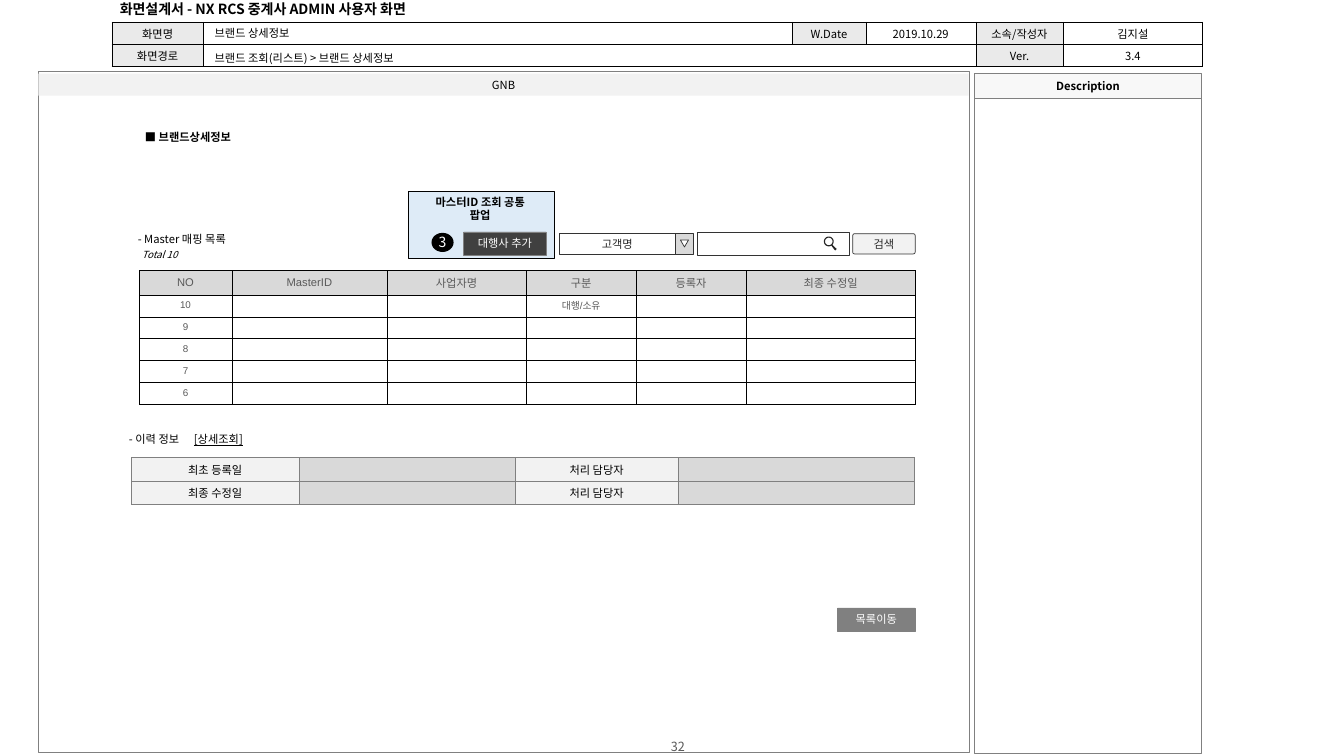
from math import cos, pi, sin

from lxml.etree import SubElement
from pptx import Presentation
from pptx.dml.color import RGBColor
from pptx.enum.shapes import MSO_SHAPE
from pptx.enum.text import MSO_ANCHOR, PP_ALIGN
from pptx.oxml.ns import qn
from pptx.util import Pt

theme = {
    "font": "Noto Sans CJK KR", "latin": "Arial",
    "black": "000000", "white": "FFFFFF", "ink": "262626", "edge": "333333",
    "dark": "404040", "soft": "595959", "gray": "808080", "mid": "D9D9D9",
    "head": "EAEAEA", "pale": "F2F2F2", "light": "F8F8F8", "blue": "DEEBF7",
    "tiny": 7, "base": 8, "page": 9, "big": 10,
}


def write(frame, text, align=PP_ALIGN.CENTER, size="base", color="black", name="font", **style):
    para = frame.paragraphs[0]
    para.alignment = align
    if not text:
        SubElement(para._p, qn("a:endParaRPr"), sz=str(theme[size] * 100))
        return para
    run = para.add_run()
    run.text = text
    form = {"size": Pt(theme[size]), "name": theme[name], **style}
    for key, value in form.items():
        setattr(run.font, key, value)
    run.font.color.rgb = RGBColor.from_string(theme[color])
    SubElement(run._r.get_or_add_rPr(), qn("a:ea"), typeface=theme["font"])
    return para


def draw(kind, spot, text="", fill=None, line=None, width=0.25, inset=0, **style):
    spot = [Pt(value) for value in spot]
    if kind is None:
        shape = shapes.add_textbox(*spot)
    else:
        shape = shapes.add_shape(kind, *spot)
        shape.shadow.inherit = False
        for part, tint in ((shape.fill, fill), (shape.line.fill, line)):
            if tint:
                part.solid()
                part.fore_color.rgb = RGBColor.from_string(theme[tint])
            else:
                part.background()
        if line:
            shape.line.width = Pt(width)
    frame = shape.text_frame
    form = {"word_wrap": True, "vertical_anchor": MSO_ANCHOR.MIDDLE, "margin_left": Pt(inset),
            "margin_right": Pt(inset), "margin_top": 0, "margin_bottom": 0}
    for key, value in form.items():
        setattr(frame, key, value)
    if text:
        write(frame, text, **style)
    return shape


deck = Presentation()
deck.slide_width, deck.slide_height = Pt(960), Pt(540)
slide = deck.slides.add_slide(deck.slide_layouts[6])
shapes = slide.shapes
rect = MSO_SHAPE.RECTANGLE
left = PP_ALIGN.LEFT

draw(None, (372.2, 528.5, 224, 9.4), "32", size="page", color="soft")
draw(rect, (27.4, 51.1, 664.6, 486), line="gray")

tables = [
    {"spot": (79.9, 15.8), "edge": "black", "cols": [65.5, 420.5, 52.6, 78.5, 62.6, 99.4],
     "rows": [15.8] * 2, "style": {},
     "text": [["화면명", "", "W.Date", "2019.10.29", "소속/작성자", "김지설"],
              ["화면경로", "", "", "", "Ver.", "3.4"]],
     "fill": [["head", "white"] * 3, ["head", "white", "white", "white", "head", "white"]]},
    {"spot": (99.4, 193), "edge": "black", "cols": [66.2, 110.9, 99.4, 78.5, 78.5, 121],
     "rows": [17.5] + [15.7] * 5, "style": {"name": "latin", "color": "soft"},
     "text": [["NO", "MasterID", "사업자명", "구분", "등록자", "최종 수정일"],
              ["10", "", "", "대행/소유", "", ""]]
             + [[str(count)] + [""] * 5 for count in range(9, 5, -1)],
     "fill": [["mid"] * 6] + [["white"] * 6] * 5},
    {"spot": (94, 326.6), "edge": "gray", "cols": [119.5, 154.8, 115.9, 168.5],
     "rows": [16.9] * 2, "style": {},
     "text": [["최초 등록일", "", "처리 담당자", ""], ["최종 수정일", "", "처리 담당자", ""]],
     "fill": [["pale", "mid"] * 2] * 2},
]
for data in tables:
    cols, rows = data["cols"], data["rows"]
    size = Pt(sum(cols)), Pt(sum(rows))
    grid = shapes.add_table(len(rows), len(cols), *map(Pt, data["spot"]), *size).table
    for col, width in zip(grid.columns, cols):
        col.width = Pt(width)
    for r, height in enumerate(rows):
        grid.rows[r].height = Pt(height)
        for c, text in enumerate(data["text"][r]):
            cell = grid.cell(r, c)
            digit = text.isdigit()
            form = {"margin_left": Pt(3), "margin_right": Pt(3), "margin_bottom": Pt(1),
                    "margin_top": Pt(3.6 if digit else 1),
                    "vertical_anchor": MSO_ANCHOR.TOP if digit else MSO_ANCHOR.MIDDLE}
            for key, value in form.items():
                setattr(cell, key, value)
            for side in "LRTB":
                edge = SubElement(cell._tc.get_or_add_tcPr(), qn("a:ln" + side), w=str(Pt(0.25)))
                tint = SubElement(edge, qn("a:solidFill"))
                SubElement(tint, qn("a:srgbClr"), val=theme[data["edge"]])
            cell.fill.solid()
            cell.fill.fore_color.rgb = RGBColor.from_string(theme[data["fill"][r][c]])
            small = len(rows) > 2 and r > 0
            write(cell.text_frame, text, size="tiny" if small else "base", **data["style"])
    if data is tables[0]:
        grid.cell(1, 1).merge(grid.cell(1, 3))

draw(rect, (696.2, 69.1, 162, 468.7), line="gray")
draw(rect, (696.2, 52.6, 162, 17.3), "Description", "light", "gray", bold=True)
draw(rect, (27.4, 52.6, 664.6, 15.8), "GNB", "pale")

labels = [
    ((78.5, -2.9, 250, 18.7), "화면설계서 - NX RCS 중계사 ADMIN 사용자 화면", {"size": "big", "bold": True}),
    ((96.5, 89.3, 93.6, 17.3), "■ 브랜드상세정보", {"bold": True}),
    ((146.2, 15.1, 226, 17.3), "브랜드 상세정보", {}),
    ((146.2, 33.1, 226, 17.3), "브랜드 조회(리스트) > 브랜드 상세정보", {}),
    ((91.4, 162, 102.2, 17.3), "- Master 매핑 목록", {}),
    ((94.3, 174.2, 102.2, 15.8), "Total 10", {"size": "tiny", "italic": True}),
]
for spot, text, style in labels:
    draw(None, spot, text, inset=7.2, align=left, **style)

past = draw(None, (85, 305.3, 102.2, 17.3), "- 이력 정보\t", inset=7.2, align=left)
para = write(past.text_frame, "[상세조회]", left, underline=True)
tabs = SubElement(para._p.get_or_add_pPr(), qn("a:tabLst"))
SubElement(tabs, qn("a:tab"), pos=str(Pt(46.4)), algn="l")

draw(rect, (598.3, 434.2, 55.4, 16.6), "목록이동", "gray", "gray", color="white")
panel = draw(rect, (291.6, 136.8, 104.4, 47.5), fill="blue", line="black")
title = draw(None, (297.4, 137, 91.4, 24), "마스터ID 조회 공통 팝업", inset=7.2, bold=True)
title.text_frame.paragraphs[0].line_spacing = Pt(9.4)
shapes.add_group_shape([panel, title])

find = draw(MSO_SHAPE.ROUNDED_RECTANGLE, (609.1, 167, 44.6, 14.4), "검색", "pale", "edge", 0.5, color="ink")
find.adjustments[0] = 0.09
draw(rect, (498.2, 166.3, 108.7, 15.8), fill="white", line="edge", width=0.5)

rings = [[(592 + radius * cos(step * pi / 16), 172.5 + radius * sin(step * pi / 16))
          for step in range(32)] for radius in (3.5, 2.7)]
handle = [(594.7, 175), (594, 175.7), (596.2, 178.6), (597, 178.8), (597.6, 177.8)]
lens = None
for loop in rings + [handle]:
    points = [(Pt(x), Pt(y)) for x, y in loop]
    if lens is None:
        lens = shapes.build_freeform(*points[0])
    else:
        lens.move_to(*points[0])
    lens.add_line_segments(points[1:], close=True)
icon = lens.convert_to_shape()
icon.shadow.inherit = False
icon.fill.solid()
icon.fill.fore_color.rgb = RGBColor.from_string(theme["ink"])
icon.line.fill.background()

draw(rect, (399.6, 167, 82.8, 14.4), "고객명", "white", "edge", 0.5, color="ink")
draw(rect, (482.4, 167, 13, 14.4), fill="mid", line="edge", width=0.5)
arrow = draw(MSO_SHAPE.ISOSCELES_TRIANGLE, (486, 171.4, 5.8, 5), fill="white", line="edge", width=0.5)
arrow.rotation = 180
draw(rect, (331.2, 165.6, 59, 16.6), "대행사 추가", "dark", "gray", color="white")
draw(MSO_SHAPE.OVAL, (308.2, 166.3, 15.8, 13.7), "3", "black", size="big", color="white")

deck.save("out.pptx")
